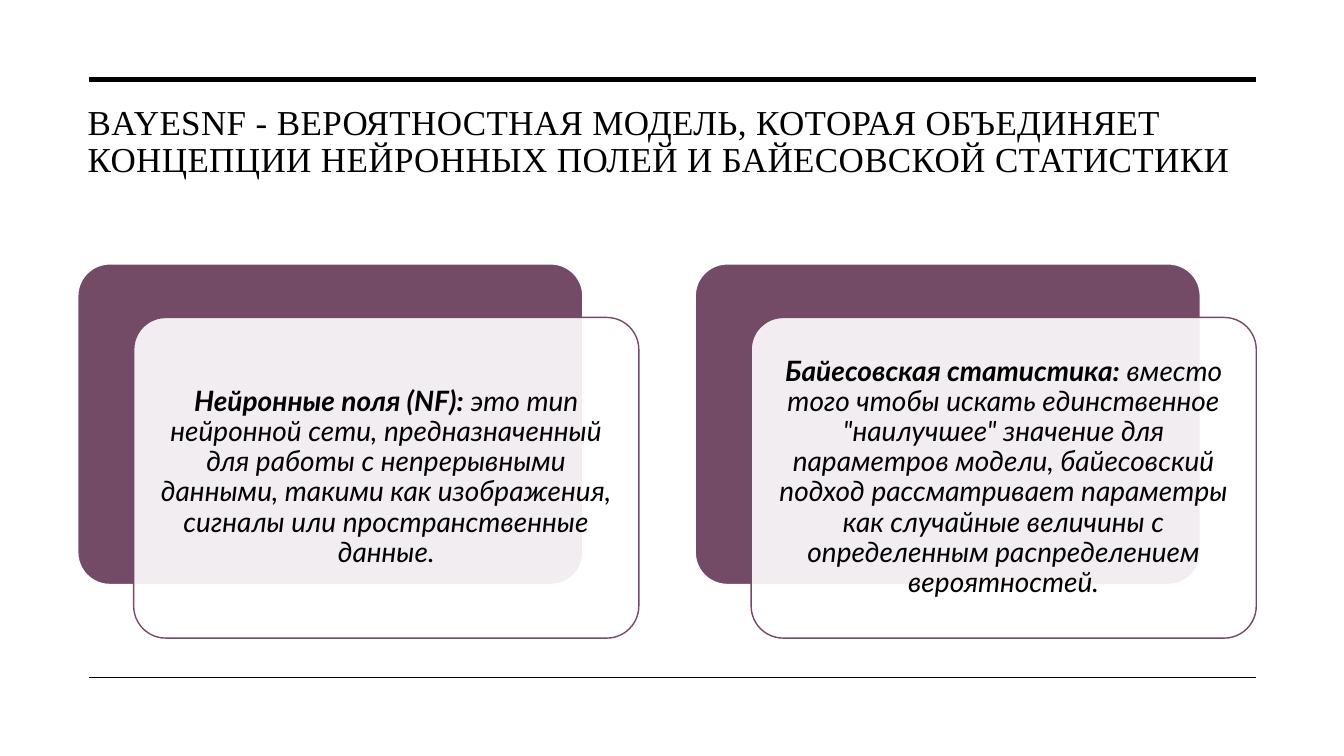
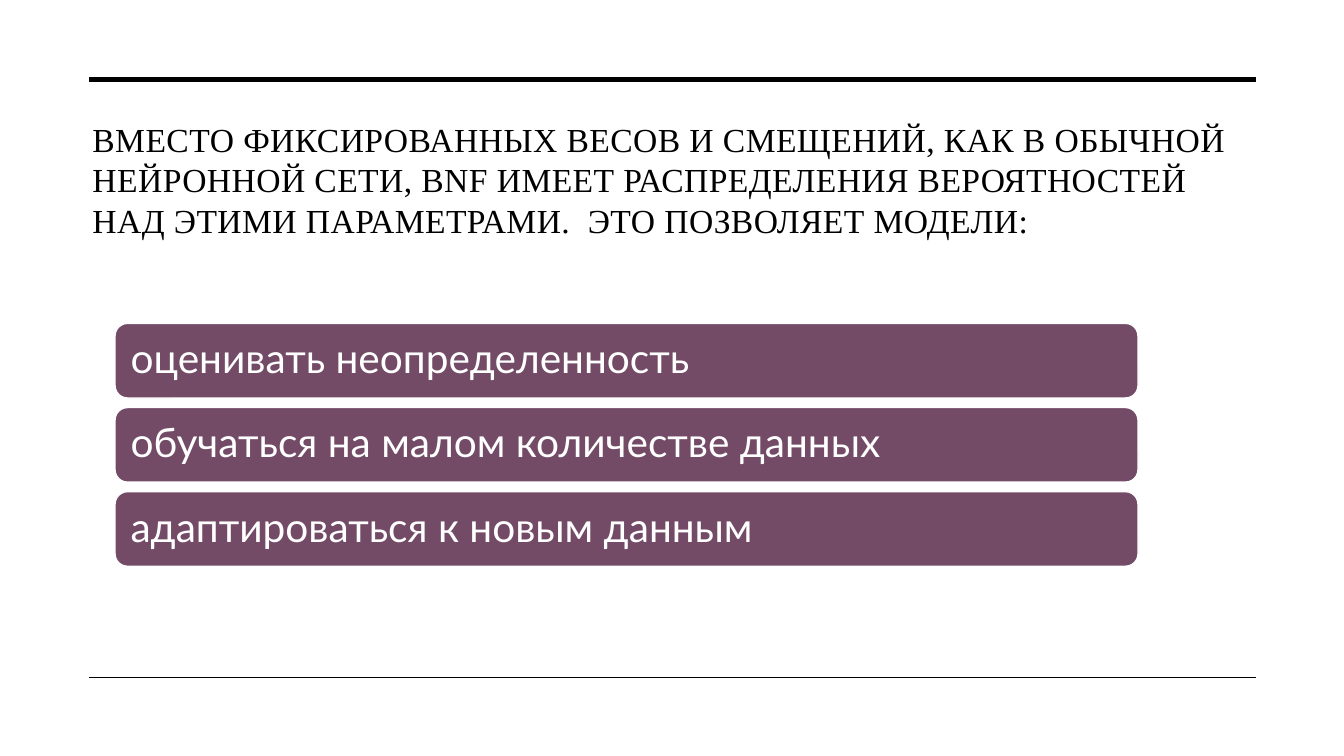
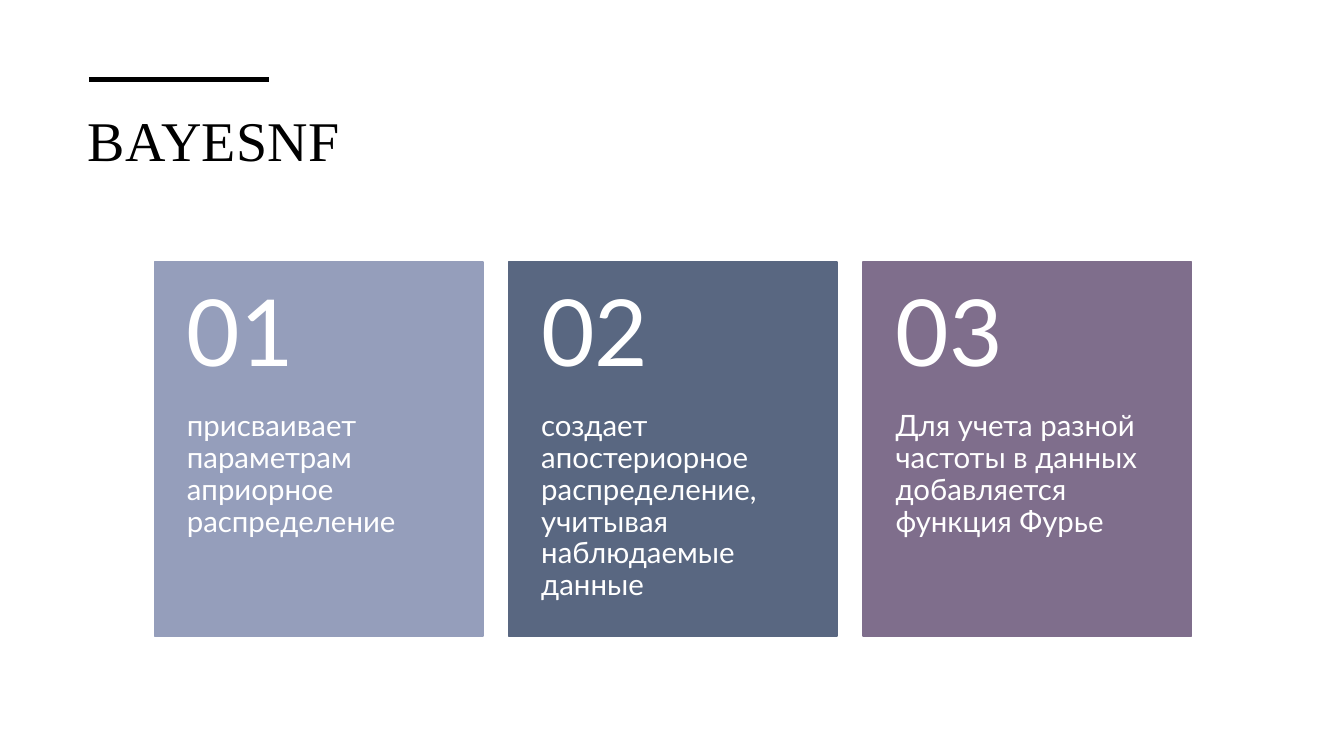
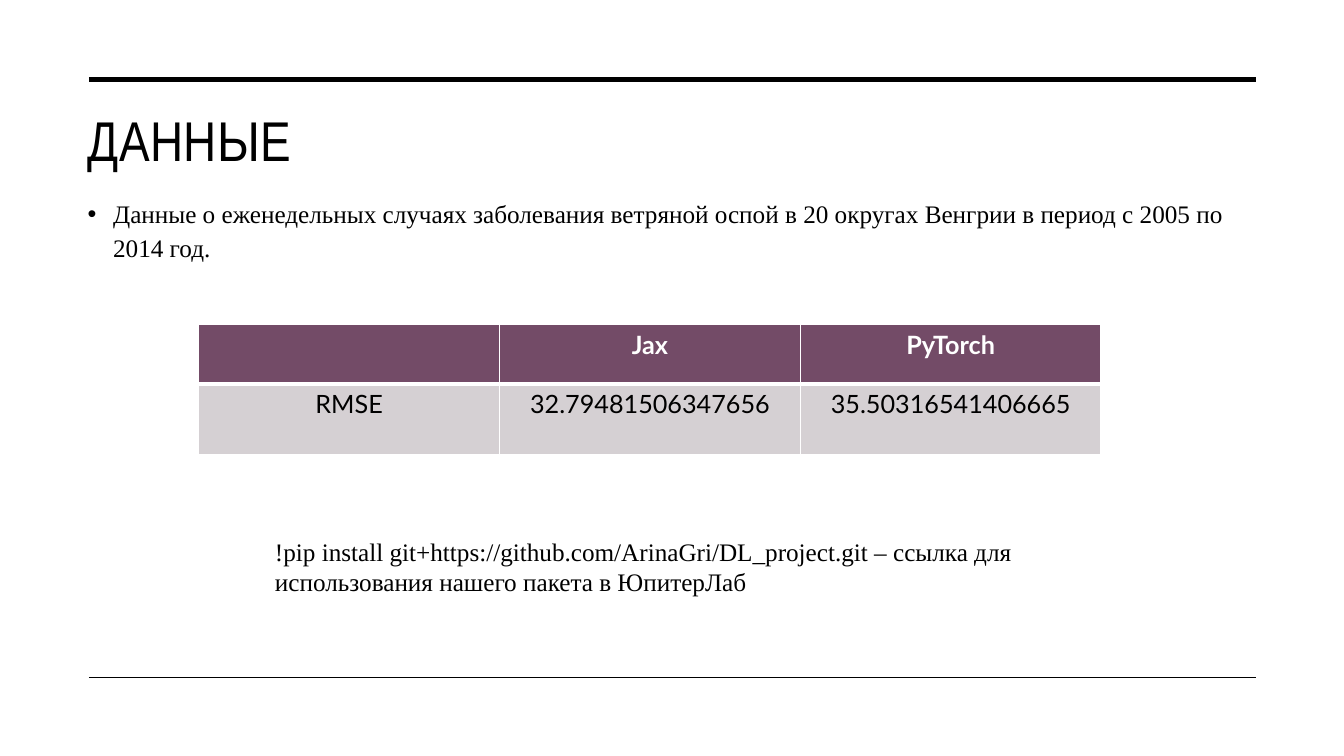
from lxml.etree import SubElement
from pptx import Presentation
from pptx.dml.color import RGBColor
from pptx.enum.shapes import MSO_CONNECTOR, MSO_SHAPE
from pptx.enum.text import MSO_ANCHOR as ANCHOR, MSO_AUTO_SIZE as FIT, PP_ALIGN as ALIGN
from pptx.oxml import parse_xml
from pptx.oxml.ns import nsdecls, qn
from pptx.util import Cm, Pt

BLACK, WHITE, PLUM, PALE = "000000", "FFFFFF", "734B67", "D5D0D3"
SERIF, SANS, NARROW = "Times New Roman", "Lato", "Arial Narrow"
LEFT, RIGHT, TOP_RULE, BOTTOM_RULE = 2.24, 31.65, 2.01, 17.07
TITLE_BOX = (1.96, 2.54, 29.69, 3.63)


def rgb(color):
    return RGBColor.from_string(color)


def place(sp, box):
    sp.left, sp.top, sp.width, sp.height = map(Cm, box)


def style(p, size, color, name=SANS, bold=False, italic=False):
    for r in p.runs:
        r.font.size, r.font.name = Pt(size), name
        r.font.bold, r.font.italic = bold, italic
        r.font.color.rgb = rgb(color)


def set_frame(tf, insets=(0.25, 0.13, 0.25, 0.13), anchor=ANCHOR.TOP):
    tf.word_wrap, tf.auto_size, tf.vertical_anchor = True, FIT.NONE, anchor
    tf.margin_left, tf.margin_top, tf.margin_right, tf.margin_bottom = map(Cm, insets)


def add_box(slide, shape, box, fill, line):
    sp = slide.shapes.add_shape(shape, *map(Cm, box))
    sp.shadow.inherit = False
    sp.fill.solid()
    sp.fill.fore_color.rgb = rgb(fill)
    sp.line.color.rgb = rgb(line)
    sp.line.width = Pt(1)
    return sp


def add_text(slide, box, text, size, color, name=SANS, **frame):
    sp = slide.shapes.add_textbox(*map(Cm, box))
    set_frame(sp.text_frame, **frame)
    sp.text_frame.text = text
    style(sp.text_frame.paragraphs[0], size, color, name)
    return sp


# Shared parts: rules and title
def add_rule(slide, y, end, width):
    ln = slide.shapes.add_connector(MSO_CONNECTOR.STRAIGHT, Cm(LEFT), Cm(y), Cm(end), Cm(y))
    ln.line.color.rgb = rgb(BLACK)
    ln.line.width = Pt(width)
    SubElement(ln._element.spPr, qn("a:effectLst"))


def new_slide(prs, title, size, box=TITLE_BOX, name=SERIF, spacing=1.0, layout=5, short=False):
    slide = prs.slides.add_slide(prs.slide_layouts[layout])
    add_rule(slide, TOP_RULE, 6.78 if short else RIGHT, 3.5)
    if not short:
        add_rule(slide, BOTTOM_RULE, RIGHT, 1)
    sp = slide.shapes.title
    place(sp, box)
    set_frame(sp.text_frame)
    sp.text_frame.text = title
    p = sp.text_frame.paragraphs[0]
    p.alignment, p.line_spacing = ALIGN.LEFT, spacing
    style(p, size, BLACK, name)
    for r in p.runs:
        r.font._element.set("spc", "30")
    return slide


# Definition card: white sheet over a plum panel
def add_definition(slide, box, term, text):
    x, y, w, h = box
    dx, dy = 1.41, 1.35
    size = (w - dx, h - dy)
    panel = add_box(slide, MSO_SHAPE.ROUNDED_RECTANGLE, (x, y, *size), PLUM, WHITE)
    sheet = add_box(slide, MSO_SHAPE.ROUNDED_RECTANGLE, (x + dx, y + dy, *size), WHITE, PLUM)
    for sp in (panel, sheet):
        sp.adjustments[0] = 0.1
    SubElement(sheet.fill._xPr.find(".//" + qn("a:srgbClr")), qn("a:alpha"), val="90000")
    set_frame(sheet.text_frame, (0.2,) * 4, ANCHOR.MIDDLE)
    p = sheet.text_frame.paragraphs[0]
    p.alignment, p.line_spacing = ALIGN.CENTER, 0.9
    for part in (term, text):
        p.add_run().text = part
    style(p, 20, BLACK, italic=True)
    p.runs[0].font.bold = True


# Stack of rounded bars
def add_bars(slide, box, items):
    x, y, w, h = box
    gap = 0.24
    bar_h = (h - gap * (len(items) - 1)) / len(items)
    for i, text in enumerate(items):
        bar = add_box(slide, MSO_SHAPE.ROUNDED_RECTANGLE,
                      (x, y + i * (bar_h + gap), w, bar_h), PLUM, WHITE)
        set_frame(bar.text_frame, (0.3,) * 4, ANCHOR.MIDDLE)
        bar.text_frame.text = text
        p = bar.text_frame.paragraphs[0]
        p.alignment, p.line_spacing = ALIGN.LEFT, 0.9
        style(p, 29, WHITE)


# Numbered card
def add_step(slide, box, number, text, color):
    x, y, w, h = box
    head_h = 3.77
    card = add_box(slide, MSO_SHAPE.RECTANGLE, box, color, color)
    set_frame(card.text_frame, (0.82, head_h, 0.82, 0))
    card.text_frame.text = text
    p = card.text_frame.paragraphs[0]
    p.alignment, p.line_spacing = ALIGN.LEFT, 0.9
    style(p, 21, WHITE)
    head = add_text(slide, (x, y, w, head_h), number, 66, WHITE,
                    insets=(0.82, 0.46, 0.82, 0.46), anchor=ANCHOR.MIDDLE)
    head.text_frame.paragraphs[0].line_spacing = 0.9


# Table of results
def set_borders(cell, **widths):
    tcPr = cell._tc.get_or_add_tcPr()
    for side in "LRTB":
        tcPr.append(parse_xml(
            f'<a:ln{side} {nsdecls("a")} w="{Pt(widths.get(side, 1))}"><a:solidFill>'
            f'<a:srgbClr val="{WHITE}"/></a:solidFill></a:ln{side}>'))


def add_results(slide, box, rows, heights):
    table = slide.shapes.add_table(len(rows), len(rows[0]), *map(Cm, box)).table
    for i, row in enumerate(rows):
        header = i == 0
        table.rows[i].height = Cm(heights[i])
        for j, text in enumerate(row):
            cell = table.cell(i, j)
            set_borders(cell, **({"B": 3} if header else {"T": 3}))
            cell.fill.solid()
            cell.fill.fore_color.rgb = rgb(PLUM if header else PALE)
            cell.text_frame.text = text
            p = cell.text_frame.paragraphs[0]
            p.alignment = ALIGN.CENTER
            style(p, 18, WHITE if header else BLACK, bold=header)


# Bulleted list in the body placeholder
def fill_body(slide, box, text):
    sp = slide.placeholders[1]
    place(sp, box)
    set_frame(sp.text_frame)
    sp.text_frame.text = text
    p = sp.text_frame.paragraphs[0]
    pPr = p._p.get_or_add_pPr()
    pPr.set("marL", str(Cm(0.64)))
    pPr.set("indent", str(-Cm(0.64)))
    SubElement(pPr, qn("a:buChar"), char="•")
    p.line_spacing, p.space_before = 1.1, Pt(0)
    style(p, 18, BLACK, SERIF)


def model_slide(prs):
    slide = new_slide(prs, "BAYESNF - ВЕРОЯТНОСТНАЯ МОДЕЛЬ, КОТОРАЯ ОБЪЕДИНЯЕТ КОНЦЕПЦИИ "
                      "НЕЙРОННЫХ ПОЛЕЙ И БАЙЕСОВСКОЙ СТАТИСТИКИ", 25,
                      (1.96, 2.51, 29.69, 3.2), spacing=0.9)
    cards = [
        ("Нейронные поля (NF):",
         " это тип нейронной сети, предназначенный для работы с непрерывными данными, "
         "такими как изображения, сигналы или пространственные данные."),
        ("Байесовская статистика:",
         " вместо того чтобы искать единственное \"наилучшее\" значение для параметров модели, "
         "байесовский подход рассматривает параметры как случайные величины с определенным "
         "распределением вероятностей."),
    ]
    for i, (term, text) in enumerate(cards):
        add_definition(slide, (1.96 + i * 15.56, 6.65, 14.14, 9.43), term, text)


def abilities_slide(prs):
    slide = new_slide(prs, "ВМЕСТО ФИКСИРОВАННЫХ ВЕСОВ И СМЕЩЕНИЙ, КАК В ОБЫЧНОЙ НЕЙРОННОЙ СЕТИ, "
                      "BNF ИМЕЕТ РАСПРЕДЕЛЕНИЯ ВЕРОЯТНОСТЕЙ НАД ЭТИМИ ПАРАМЕТРАМИ.  "
                      "ЭТО ПОЗВОЛЯЕТ МОДЕЛИ:", 24, (2.08, 2.87, 29.69, 3.63))
    add_bars(slide, (2.9, 8.15, 25.78, 6.12), [
        "оценивать неопределенность",
        "обучаться на малом количестве данных",
        "адаптироваться к новым данным",
    ])


def steps_slide(prs):
    slide = new_slide(prs, "BAYESNF", 40, (1.96, 2.54, 30, 2.92), short=True)
    steps = [
        ("присваивает параметрам априорное распределение", "959EBB"),
        ("создает апостериорное распределение, учитывая наблюдаемые данные", "596781"),
        ("Для учета разной частоты в данных добавляется функция Фурье", "7F6E8C"),
    ]
    for i, (text, color) in enumerate(steps):
        add_step(slide, (3.89 + i * 8.93, 6.6, 8.28, 9.43), f"{i + 1:02}", text, color)


def data_slide(prs):
    slide = new_slide(prs, "ДАННЫЕ", 40, name=NARROW, layout=1)
    fill_body(slide, (1.96, 4.8, 29.69, 2.16),
              "Данные о еженедельных случаях заболевания ветряной оспой в 20 округах Венгрии "
              "в период с 2005 по 2014 год.")
    add_results(slide, (5.01, 8.18, 22.74, 3.28), [
        ("", "Jax", "PyTorch"),
        ("RMSE", "32.79481506347656", "35.50316541406665"),
    ], (1.49, 1.79))
    add_text(slide, (6.68, 13.39, 21.77, 2.57),
             "!pip install git+https://github.com/ArinaGri/DL_project.git – ссылка для "
             "использования нашего пакета в ЮпитерЛаб", 18, BLACK, SERIF)


def main():
    prs = Presentation()
    prs.slide_width, prs.slide_height = Cm(33.87), Cm(19.05)
    for build in (model_slide, abilities_slide, steps_slide, data_slide):
        build(prs)
    prs.save("out.pptx")


if __name__ == "__main__":
    main()
